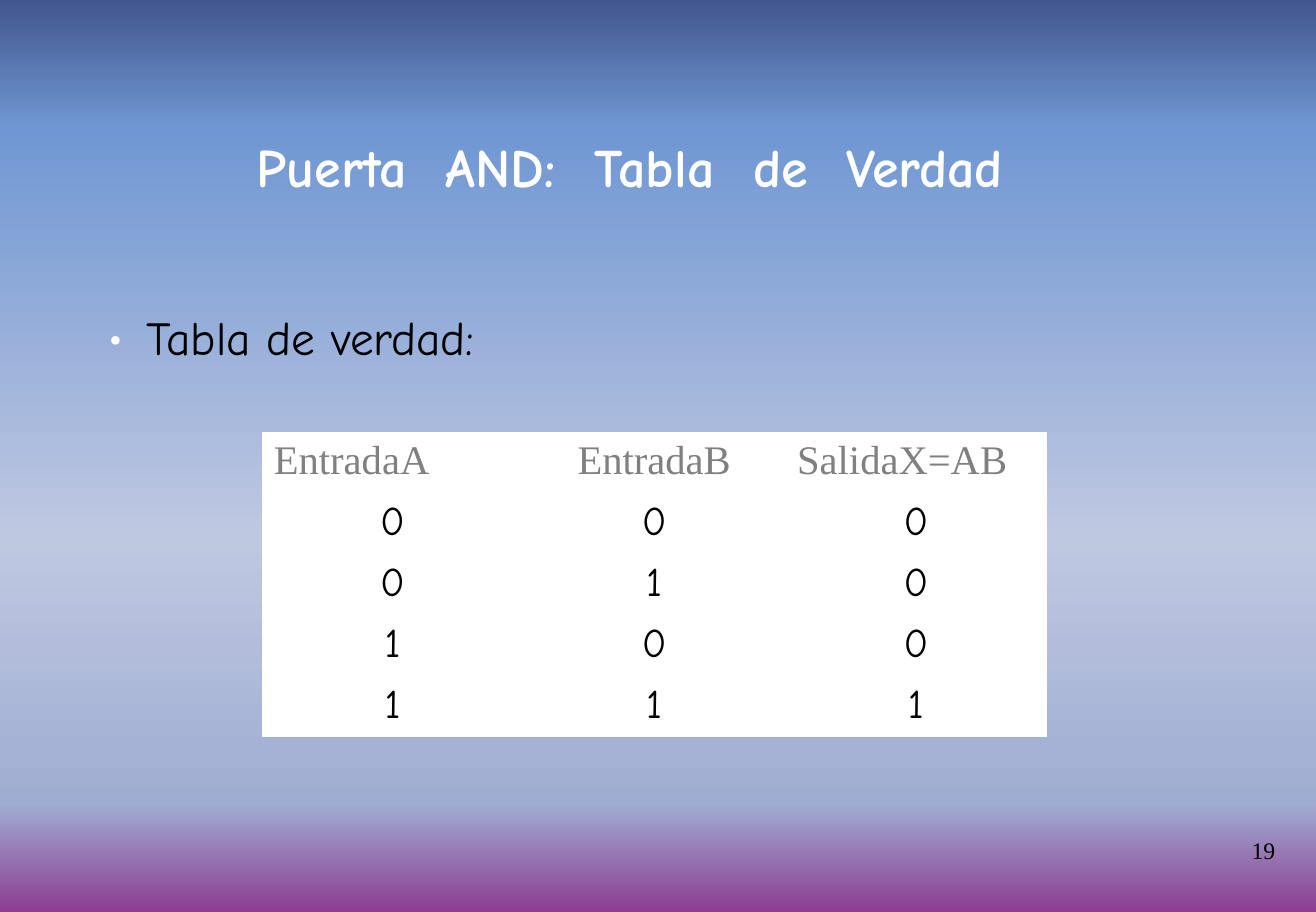
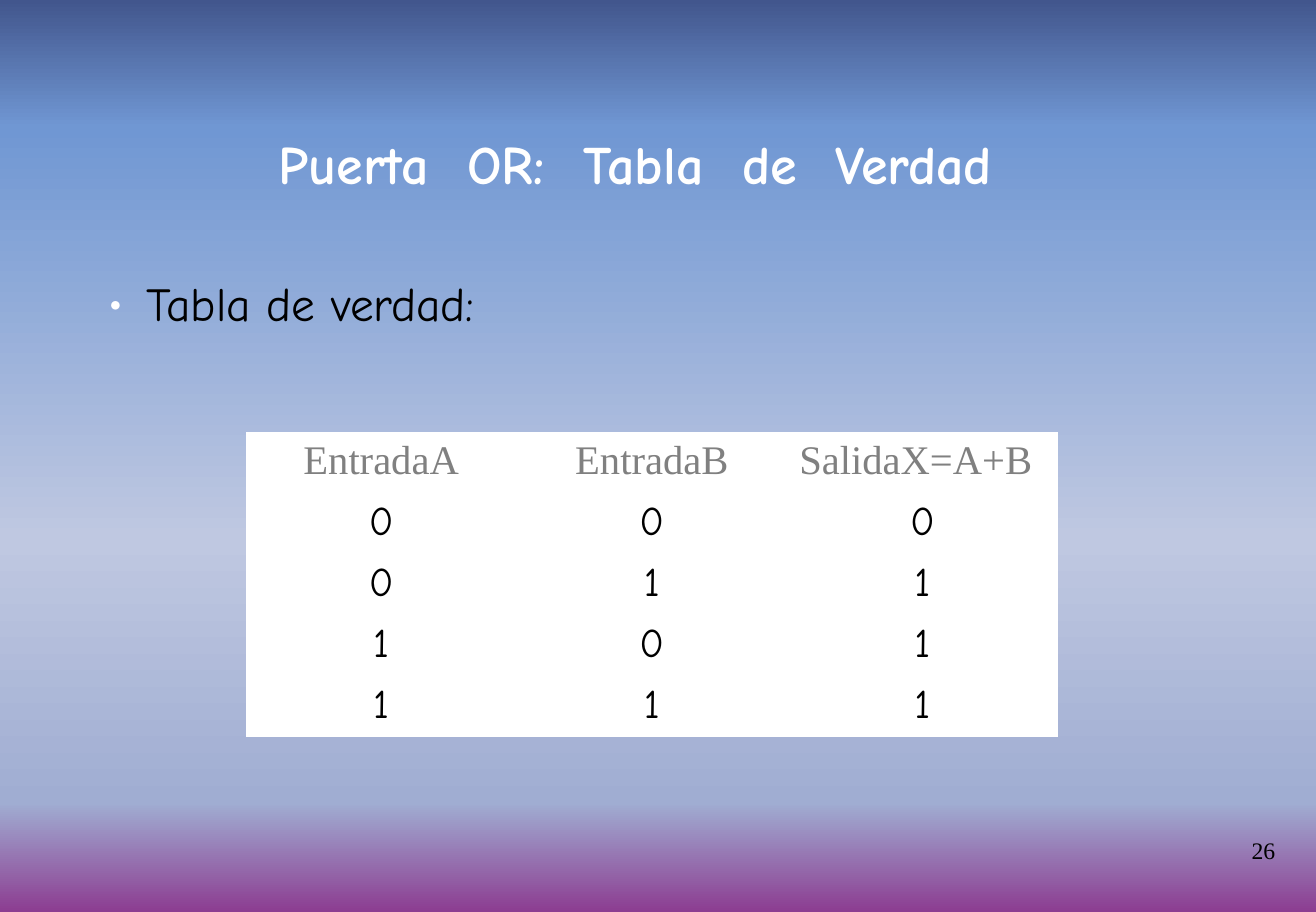
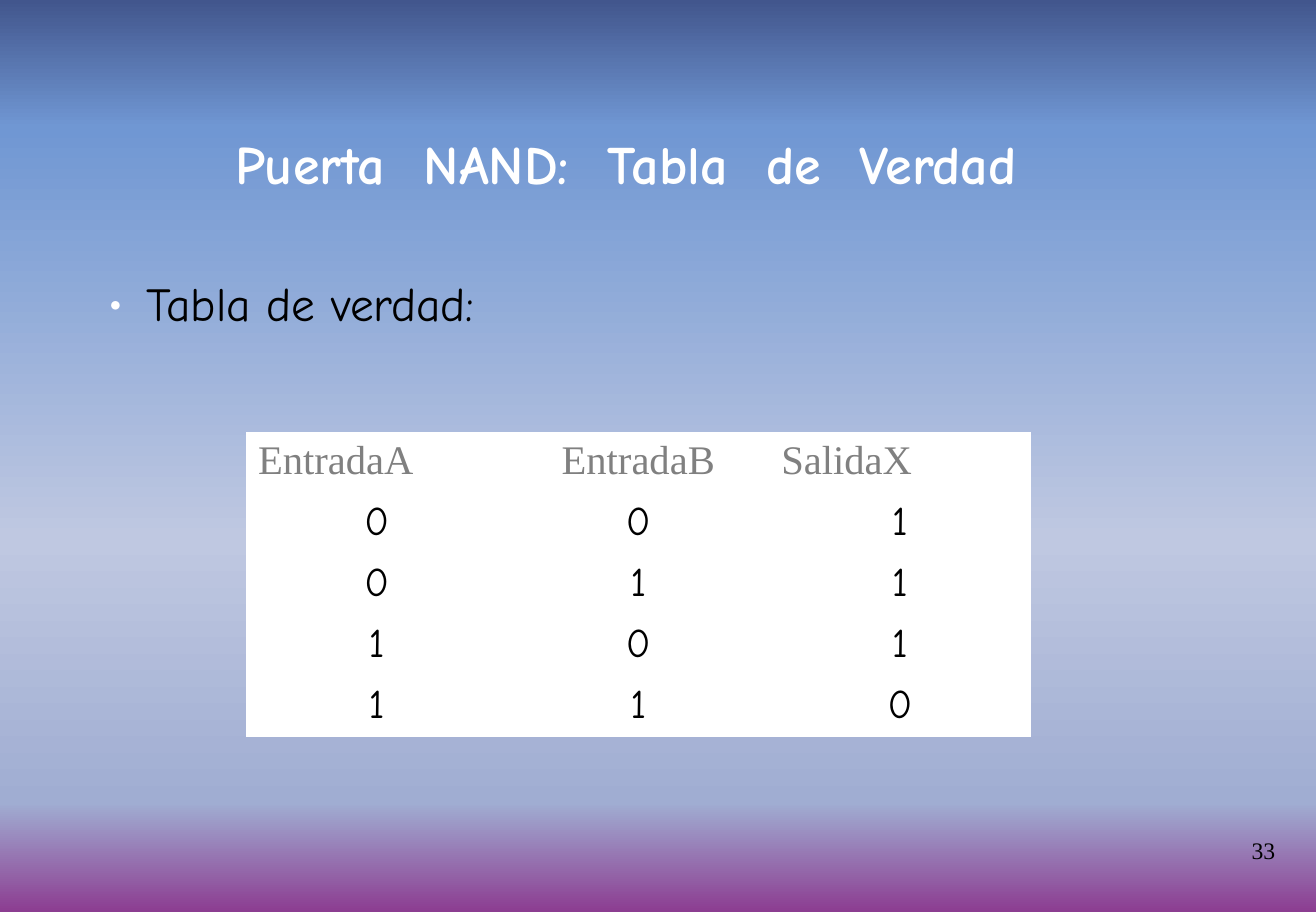
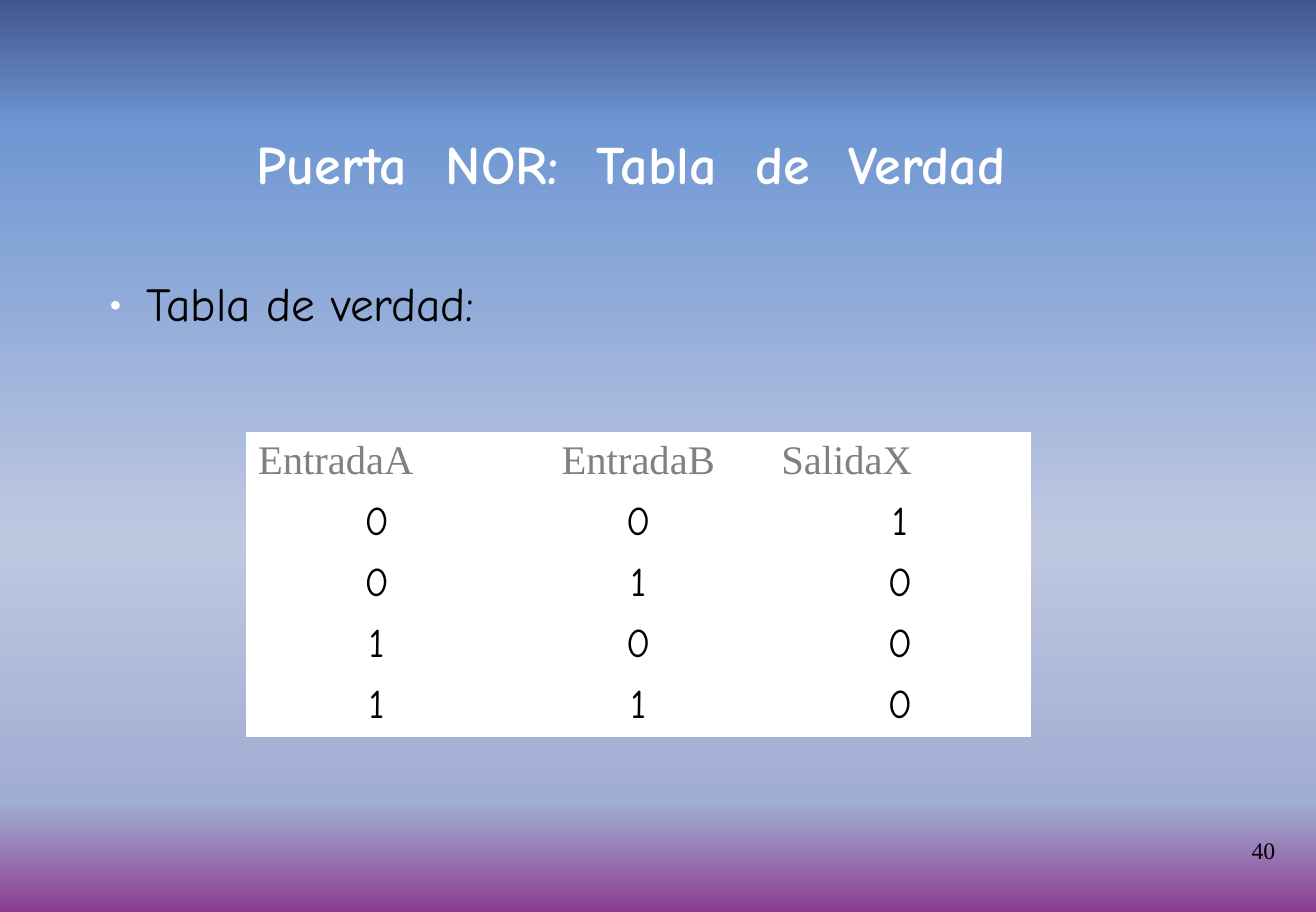
from lxml import etree
from pptx import Presentation
from pptx.dml.color import RGBColor
from pptx.enum import text
from pptx.oxml import ns
from pptx.util import Pt

GRADIENT = [(0, "42568D"), (14, "7097D3"), (59, "BFC8E1"), (88, "A0ADD2"), (100, "8C3D91")]
WHITE, BLACK, GRAY = "FFFFFF", "000000", "808080"
SERIF, COMIC = "Times New Roman", "Comic Neue"
NO_TABLE_STYLE = "{2D5ABB26-0587-4C30-8999-92F81FD0307C}"
ROW_HEIGHT = 36
LEFT, CENTER = text.PP_ALIGN.LEFT, text.PP_ALIGN.CENTER
INPUTS = [(0, 0), (0, 1), (1, 0), (1, 1)]

# gate, page, title left and top, bullet top, table left, column width,
# alignment of the first heading, output heading, outputs
GATES = [
    ("AND", 19, 152, 82, 186, 154.8, 154.75, LEFT, "SalidaX=AB", (0, 0, 0, 1)),
    ("OR", 26, 164.8, 80.6, 165.6, 145.4, 160.1, CENTER, "SalidaX=A+B", (0, 1, 1, 1)),
    ("NAND", 33, 139, 80.6, 165.6, 145.4, 154.75, LEFT, "SalidaX", (1, 1, 1, 0)),
    ("NOR", 40, 152, 80.6, 165.6, 145.4, 154.75, LEFT, "SalidaX", (1, 0, 0, 0)),
]


def style(p, font, size, color, bold=False):
    p.font.name, p.font.size, p.font.bold = font, Pt(size), bold
    p.font.color.rgb = RGBColor.from_string(color)


def add_line(s, content, left, top, width, height, *look):
    """Add a one-line text box with exact line spacing and return its paragraph."""
    tf = s.shapes.add_textbox(Pt(left), Pt(top), Pt(width), Pt(height)).text_frame
    tf.margin_left = tf.margin_top = tf.margin_right = tf.margin_bottom = 0
    tf.word_wrap = True
    p = tf.paragraphs[0]
    p.text = content
    p.line_spacing = Pt(height)
    style(p, *look)
    return p


prs = Presentation()
prs.slide_width, prs.slide_height = Pt(778.3), Pt(539.3)

master = prs.slide_master
fill = master.background.fill
fill.gradient()
fill.gradient_angle = 270
stops = master.element.find(".//" + ns.qn("a:gsLst"))
for stop in list(stops):
    stops.remove(stop)
for percent, color in GRADIENT:
    stop = etree.SubElement(stops, ns.qn("a:gs"), pos=str(percent * 1000))
    etree.SubElement(stop, ns.qn("a:srgbClr"), val=color)

for (gate, page, title_left, title_top, bullet_top, table_left, col_width,
     first_align, output_name, outputs) in GATES:
    s = prs.slides.add_slide(prs.slide_layouts[6])

    rows = [("EntradaA", "EntradaB", output_name)]
    rows += [(a, b, x) for (a, b), x in zip(INPUTS, outputs)]
    frame = s.shapes.add_table(len(rows), 3, Pt(table_left), Pt(255.6),
                               Pt(3 * col_width), Pt(len(rows) * ROW_HEIGHT))
    table = frame.table
    table.first_row = table.horz_banding = False
    frame.element.find(".//" + ns.qn("a:tableStyleId")).text = NO_TABLE_STYLE
    for col in table.columns:
        col.width = Pt(col_width)
    for i, row in enumerate(rows):
        table.rows[i].height = Pt(ROW_HEIGHT)
        for j, value in enumerate(row):
            cell = table.cell(i, j)
            cell.fill.solid()
            cell.fill.fore_color.rgb = RGBColor.from_string(WHITE)
            p = cell.text_frame.paragraphs[0]
            p.text = str(value)
            if i == 0:
                p.alignment = (first_align, CENTER, LEFT)[j]
                style(p, SERIF, 24, GRAY)
            else:
                p.alignment = CENTER
                style(p, COMIC, 24, BLACK)

    add_line(s, str(page), 740.2, 499, 20, 12, SERIF, 14, BLACK)
    add_line(s, f"Puerta  {gate}:  Tabla  de  Verdad", title_left, title_top,
             500, 35, COMIC, 32, WHITE, True)

    p = add_line(s, "Tabla de verdad:", 64, bullet_top, 400, 30, COMIC, 28, BLACK)
    pPr = p._p.get_or_add_pPr()
    pPr.set("marL", str(Pt(22.5)))
    pPr.set("indent", str(-Pt(22.5)))
    bullet_color = etree.Element(ns.qn("a:buClr"))
    etree.SubElement(bullet_color, ns.qn("a:srgbClr"), val=WHITE)
    bullet_font = etree.Element(ns.qn("a:buFont"), typeface=COMIC)
    bullet_char = etree.Element(ns.qn("a:buChar"), char="•")
    for part in (bullet_color, bullet_font, bullet_char):
        pPr.find(ns.qn("a:defRPr")).addprevious(part)

prs.save("out.pptx")
